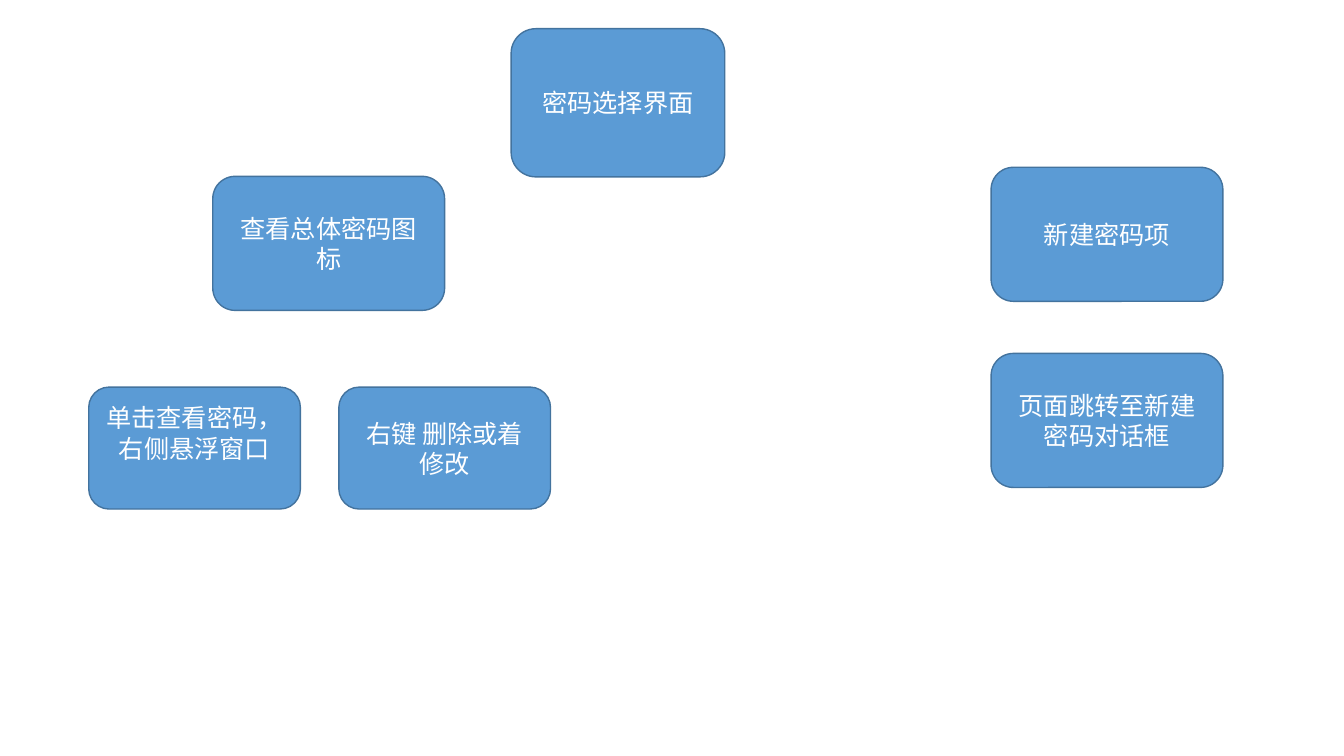
from dataclasses import dataclass

from lxml.etree import SubElement
from pptx import Presentation
from pptx.dml.color import RGBColor
from pptx.enum.shapes import MSO_SHAPE
from pptx.enum.text import MSO_ANCHOR, PP_ALIGN
from pptx.oxml.ns import qn
from pptx.slide import Slide
from pptx.util import Inches, Pt

SLIDE_WIDTH = Inches(13.33)
SLIDE_HEIGHT = Inches(7.5)
FONT = "Noto Sans CJK SC"
COLOURS = {"fill": "5B9BD5", "line": "43739E", "text": "FFFFFF"}


@dataclass(frozen=True)
class BoxSize:
    """Width and height in percent of the slide."""
    width: float
    height: float


@dataclass(frozen=True)
class Step:
    """A box whose left and top are in percent of the slide."""
    text: str
    left: float
    top: float
    size: BoxSize
    bottom_inset: float = 0.05


ROOT = BoxSize(15.9, 19.6)
BRANCH = BoxSize(17.25, 17.73)
ACTION = BoxSize(15.75, 16.13)

CREATE_LEFT = 73.74
ACTION_TOP = 51.2

STEPS = [
    Step("密码选择界面", 38.03, 3.8, ROOT),
    Step("查看总体密码图标", 15.83, 23.33, BRANCH),
    Step("新建密码项", CREATE_LEFT, 22.13, BRANCH),
    Step("单击查看密码，右侧悬浮窗口", 6.6, ACTION_TOP, ACTION, bottom_inset=0.35),
    Step("页面跳转至新建密码对话框", CREATE_LEFT, 46.75, BRANCH),
    Step("右键 删除或着修改", 25.21, ACTION_TOP, ACTION),
]


def colour(name: str) -> RGBColor:
    return RGBColor.from_string(COLOURS[name])


def across(percent: float) -> int:
    return round(SLIDE_WIDTH * percent / 100)


def down(percent: float) -> int:
    return round(SLIDE_HEIGHT * percent / 100)


def draw_step(slide: Slide, step: Step) -> None:
    shape = slide.shapes.add_shape(
        MSO_SHAPE.ROUNDED_RECTANGLE,
        across(step.left), down(step.top),
        across(step.size.width), down(step.size.height),
    )
    shape.shadow.inherit = False
    shape.fill.solid()
    shape.fill.fore_color.rgb = colour("fill")
    shape.line.color.rgb = colour("line")
    shape.line.width = Pt(1)

    text_frame = shape.text_frame
    text_frame.text = step.text
    text_frame.word_wrap = True
    text_frame.vertical_anchor = MSO_ANCHOR.MIDDLE
    text_frame.margin_bottom = Inches(step.bottom_inset)
    paragraph = text_frame.paragraphs[0]
    paragraph.alignment = PP_ALIGN.CENTER
    for run in paragraph.runs:
        run.font.size = Pt(18)
        run.font.color.rgb = colour("text")
        run.font.name = FONT
        SubElement(run.font._element, qn("a:ea"), typeface=FONT)


def main() -> None:
    presentation = Presentation()
    presentation.slide_width = SLIDE_WIDTH
    presentation.slide_height = SLIDE_HEIGHT
    slide = presentation.slides.add_slide(presentation.slide_layouts[6])
    for step in STEPS:
        draw_step(slide, step)
    presentation.save("out.pptx")


if __name__ == "__main__":
    main()
